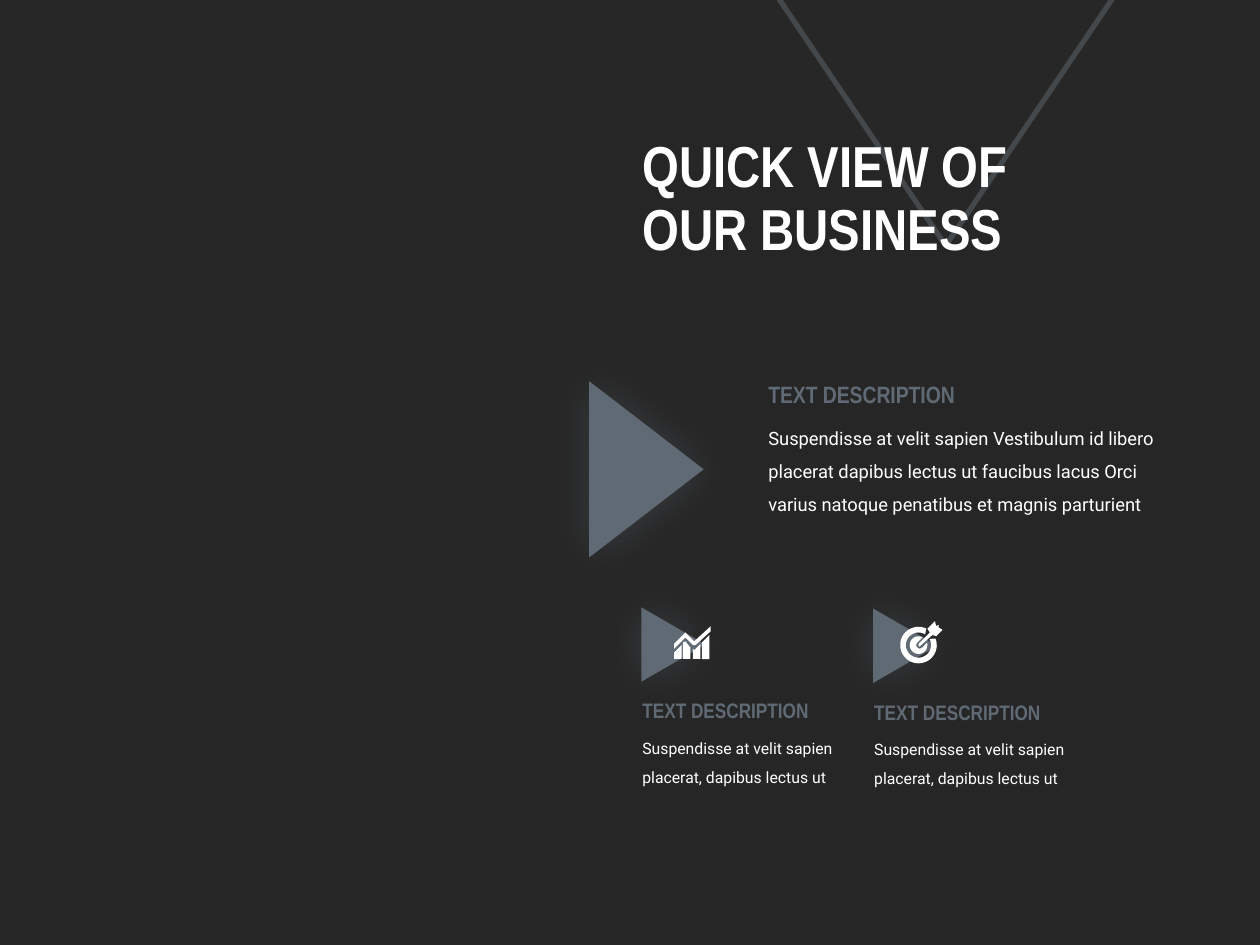
import math
from lxml import etree
from pptx import Presentation
from pptx import util as u
from pptx.dml.color import RGBColor
from pptx.enum import shapes, text
from pptx.oxml.ns import qn

COLORS = {"ground": "262626", "slate": "606A74", "white": "FFFFFF"}
HEAD, BODY = "Arial Narrow", "Roboto"


def rgb(name):
    return RGBColor.from_string(COLORS[name])


def arc(cx, cy, radius, start, end, step=8):
    count = max(1, round(abs(end - start) / step))
    angles = [math.radians(start + (end - start) * i / count) for i in range(count + 1)]
    return [(cx + radius * math.cos(a), cy - radius * math.sin(a)) for a in angles]


class SlideBuilder:
    def __init__(self, prs):
        self.s = prs.slides.add_slide(prs.slide_layouts[6])
        fill = self.s.background.fill
        fill.solid()
        fill.fore_color.rgb = rgb("ground")

    def glow(self, sp):
        sp.shadow.inherit = False
        effects = sp._element.spPr.find(qn("a:effectLst"))
        shadow = etree.SubElement(effects, qn("a:outerShdw"), blurRad=str(u.Pt(25)),
                                  dist="0", dir="0", algn="ctr", rotWithShape="0")
        color = etree.SubElement(shadow, qn("a:srgbClr"), val=COLORS["slate"])
        etree.SubElement(color, qn("a:alpha"), val="35000")

    def triangle(self, x, y, w, h, rotation, outlined=False):
        sp = self.s.shapes.add_shape(shapes.MSO_SHAPE.ISOSCELES_TRIANGLE,
                                     u.Inches(x), u.Inches(y), u.Inches(w), u.Inches(h))
        sp.rotation = rotation
        if outlined:
            sp.fill.background()
            sp.line.color.rgb = rgb("slate")
            sp.line.width = u.Pt(3)
            color = sp._element.spPr.find(qn("a:ln")).find(".//" + qn("a:srgbClr"))
            etree.SubElement(color, qn("a:alpha"), val="50000")
        else:
            sp.fill.solid()
            sp.fill.fore_color.rgb = rgb("slate")
            sp.line.fill.background()
        self.glow(sp)

    def text(self, x, y, w, h, lines, font, size, color="white", bold=False,
             spacing=1.0, anchor=text.MSO_ANCHOR.TOP):
        sp = self.s.shapes.add_textbox(u.Inches(x), u.Inches(y), u.Inches(w), u.Inches(h))
        tf = sp.text_frame
        tf.word_wrap = True
        tf.vertical_anchor = anchor
        p = tf.paragraphs[0]
        p.line_spacing = spacing
        for i, line in enumerate(lines):
            if i:
                p.add_line_break()
            r = p.add_run()
            r.text = line
            r.font.name, r.font.size, r.font.bold = font, u.Pt(size), bold
            r.font.color.rgb = rgb(color)

    def heading(self, x, y, w, h, size):
        self.text(x, y, w, h, ["TEXT DESCRIPTION"], HEAD, size, "slate", True)

    def body(self, x, y, w, h, words, size):
        self.text(x, y, w, h, [words], BODY, size, spacing=1.5)

    def icon(self, outlines):
        group = self.s.shapes.add_group_shape()
        for outline in outlines:
            points = [(u.Inches(x), u.Inches(y)) for x, y in outline]
            builder = group.shapes.build_freeform(*points[0])
            builder.add_line_segments(points[1:], close=True)
            sp = builder.convert_to_shape()
            sp.shadow.inherit = False
            sp.fill.solid()
            sp.fill.fore_color.rgb = rgb("white")
            sp.line.fill.background()


def chart_icon():
    base, width = 5.23, 0.06
    tops = [
        (5.35, [(0, 5.18), (width, 5.12)]),
        (5.42, [(0, 5.1), (0.02, 5.09), (width, 5.14)]),
        (5.5, [(0, 5.15), (0.01, 5.16), (width, 5.11)]),
        (5.57, [(0, 5.1), (width, 5.04)]),
    ]
    bars = [[(x, base)] + [(x + dx, y) for dx, y in top] + [(x + width, base)]
            for x, top in tops]
    trend = [(5.64, 4.97), (5.51, 5.09), (5.45, 5.03), (5.44, 5.02), (5.43, 5.03),
             (5.35, 5.11), (5.35, 5.15), (5.44, 5.06), (5.5, 5.12), (5.52, 5.12),
             (5.64, 5.01)]
    return bars + [trend]


def target_icon():
    cx, cy = 7.29, 5.12
    ring = arc(cx, cy, 0.145, 65, 381) + arc(cx, cy, 0.1, 389, 58)
    dart = [(7.45, 4.96), (7.43, 4.97), (7.42, 4.93), (7.36, 4.99), (7.38, 5.02),
            (7.29, 5.11), (7.29, 5.13), (7.3, 5.13), (7.4, 5.04), (7.43, 5.05),
            (7.48, 5), (7.45, 4.98)]
    disc = arc(cx, cy, 0.07, 63, 376) + [(7.32, 5.14), (7.3, 5.15), (7.28, 5.14),
                                         (7.27, 5.12), (7.28, 5.1)]
    return [ring, dart, disc]


def main():
    prs = Presentation()
    prs.slide_width, prs.slide_height = u.Inches(10), u.Inches(7.5)
    slide = SlideBuilder(prs)

    slide.triangle(6.06, -0.19, 2.89, 2.14, 180, outlined=True)
    slide.text(5, 0.8, 4.22, 1.58, ["QUICK VIEW OF", "OUR BUSINESS"], HEAD, 33,
               bold=True, spacing=0.9, anchor=text.MSO_ANCHOR.MIDDLE)

    slide.triangle(4.43, 3.27, 1.4, 0.91, 90)
    slide.body(6, 3.25, 3.41, 0.87,
               "Suspendisse at velit sapien Vestibulum id libero placerat dapibus lectus "
               "ut faucibus lacus Orci varius natoque penatibus et magnis parturient", 10.5)
    slide.heading(6, 2.97, 1.84, 0.33, 13.5)

    for x, y, outlines in [(5, 4.86, chart_icon()), (6.84, 4.87, target_icon())]:
        slide.triangle(x + 0.05, y, 0.59, 0.51, 90)
        slide.body(x, y + 0.88, 1.74, 0.53,
                   "Suspendisse at velit sapien placerat, dapibus lectus ut", 9)
        slide.heading(x, y + 0.63, 1.66, 0.3, 12)
        slide.icon(outlines)

    prs.save("out.pptx")


if __name__ == "__main__":
    main()
